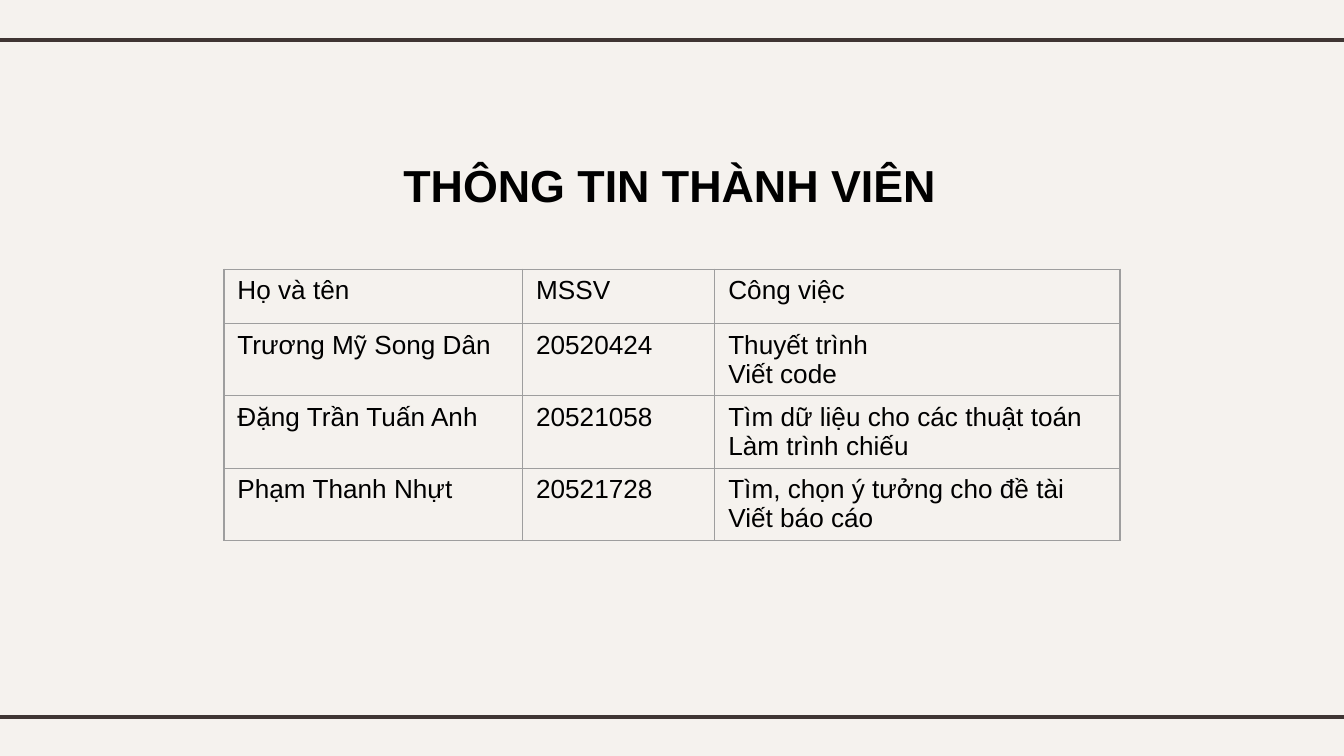
import pptx
import pptx.dml.color
import pptx.enum.shapes
import pptx.enum.text
import pptx.util
import lxml.etree
import pptx.oxml.ns

Pt = pptx.util.Pt
qn = pptx.oxml.ns.qn

MEMBERS = [
    ("Họ và tên", "MSSV", "Công việc"),
    ("Trương Mỹ Song Dân", "20520424", "Thuyết trình\nViết code"),
    ("Đặng Trần Tuấn Anh", "20521058",
     "Tìm dữ liệu cho các thuật toán\u00a0\nLàm trình chiếu"),
    ("Phạm Thanh Nhựt", "20521728",
     "Tìm, chọn ý tưởng cho đề tài\nViết báo cáo"),
]
COLUMN_WIDTHS = (160, 103, 217)
ROW_HEIGHT = 29.2


def color(hex_value):
    return pptx.dml.color.RGBColor.from_string(hex_value)


def write(text_frame, text, size, bold=False):
    text_frame.text = text
    for paragraph in text_frame.paragraphs:
        for run in paragraph.runs:
            run.font.name = "Arial"
            run.font.size = Pt(size)
            run.font.bold = bold
            run.font.color.rgb = color("000000")


def add_rule(slide, y):
    rule = slide.shapes.add_connector(
        pptx.enum.shapes.MSO_CONNECTOR.STRAIGHT, Pt(-6), Pt(y), Pt(726), Pt(y))
    rule.line.color.rgb = color("3F3533")
    rule.line.width = Pt(2.25)
    lxml.etree.SubElement(rule._element.spPr, qn("a:effectLst"))


def add_title(slide, text):
    title = slide.shapes.add_textbox(Pt(209), Pt(81), Pt(443.5), Pt(36))
    title.text_frame.word_wrap = True
    title.text_frame.auto_size = pptx.enum.text.MSO_AUTO_SIZE.SHAPE_TO_FIT_TEXT
    write(title.text_frame, text, 24, bold=True)


def add_borders(cell, hex_value, width):
    properties = cell._tc.get_or_add_tcPr()
    for index, side in enumerate(("lnL", "lnR", "lnT", "lnB")):
        border = lxml.etree.Element(qn("a:" + side), w=str(Pt(width)))
        fill = lxml.etree.SubElement(border, qn("a:solidFill"))
        lxml.etree.SubElement(fill, qn("a:srgbClr"), val=hex_value)
        properties.insert(index, border)


def add_member_table(slide, members):
    table = slide.shapes.add_table(
        len(members), len(COLUMN_WIDTHS), Pt(120), Pt(144.2),
        Pt(sum(COLUMN_WIDTHS)), Pt(ROW_HEIGHT * len(members))).table
    table.first_row = False
    table.horz_banding = False
    for column, width in zip(table.columns, COLUMN_WIDTHS):
        column.width = Pt(width)
    for row, member in zip(table.rows, members):
        row.height = Pt(ROW_HEIGHT)
        for cell, text in zip(row.cells, member):
            write(cell.text_frame, text, 14)
            cell.fill.background()
            add_borders(cell, "9E9E9E", 0.75)


def main():
    deck = pptx.Presentation()
    deck.slide_width = Pt(720)
    deck.slide_height = Pt(405)
    slide = deck.slides.add_slide(deck.slide_layouts[6])
    slide.background.fill.solid()
    slide.background.fill.fore_color.rgb = color("F5F2EE")
    for y in (21.5, 384):
        add_rule(slide, y)
    add_member_table(slide, MEMBERS)
    add_title(slide, "THÔNG TIN THÀNH VIÊN")
    deck.save("out.pptx")


if __name__ == "__main__":
    main()
